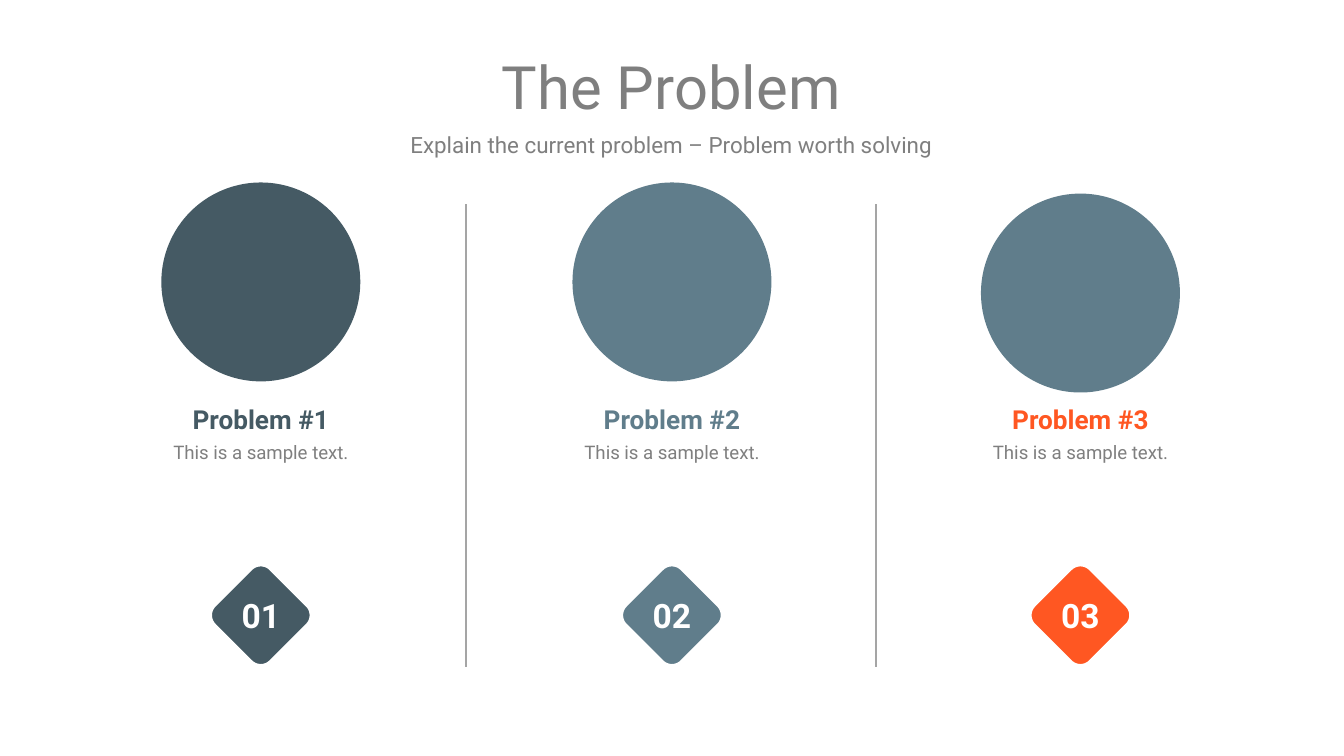
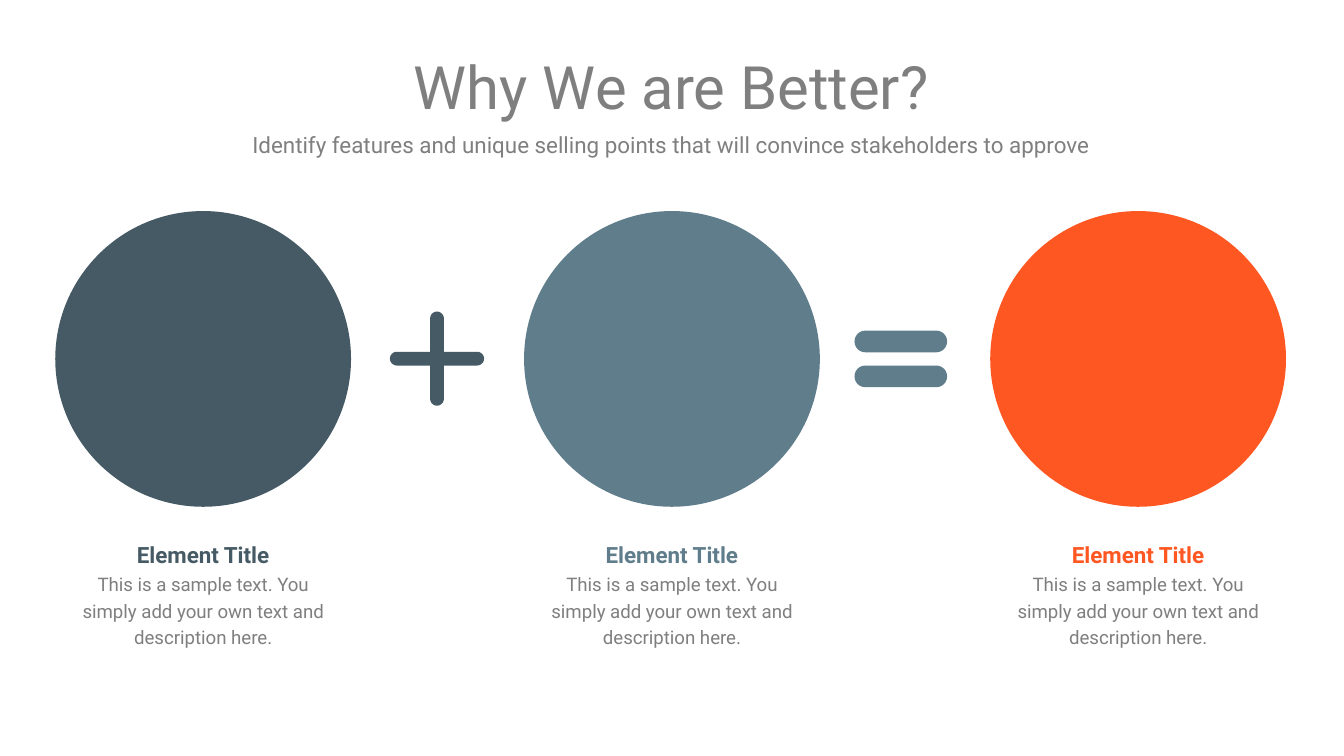
from math import cos, radians, sin

from lxml.etree import SubElement
from pptx import Presentation
from pptx.dml.color import RGBColor
from pptx.enum.shapes import MSO_CONNECTOR, MSO_SHAPE
from pptx.enum.text import MSO_ANCHOR, PP_ALIGN
from pptx.oxml.ns import qn
from pptx.util import Cm, Pt

FONT = "Roboto"
DARK, SLATE, ORANGE = "455A64", "607D8B", "FF5722"
GRAY, RULE, WHITE = "7F7F7F", "A5A5A5", "FFFFFF"
ACCENTS = [DARK, SLATE, ORANGE]


def paint(shape, color, outline=None):
    shape.shadow.inherit = False
    shape.fill.solid()
    shape.fill.fore_color.rgb = RGBColor.from_string(color)
    if outline:
        shape.line.color.rgb = RGBColor.from_string(outline)
        shape.line.width = Pt(1)
    else:
        shape.line.fill.background()


def write(frame, lines, spacing=1.0, anchor=MSO_ANCHOR.MIDDLE):
    """Fill a text frame with centred lines of (text, size, color, bold)."""
    frame.word_wrap = True
    frame.vertical_anchor = anchor
    frame.margin_left = frame.margin_right = 0
    frame.margin_top = frame.margin_bottom = 0
    for index, (text, size, color, bold) in enumerate(lines):
        paragraph = frame.add_paragraph() if index else frame.paragraphs[0]
        paragraph.alignment = PP_ALIGN.CENTER
        paragraph.line_spacing = spacing
        run = paragraph.add_run()
        run.text = text
        run.font.name = FONT
        run.font.size = Pt(size)
        run.font.bold = bold
        run.font.color.rgb = RGBColor.from_string(color)


prs = Presentation()
prs.slide_width, prs.slide_height = Cm(25.4), Cm(14.29)

# Headings shared by both slides
headings = [
    ("The Problem", "Explain the current problem – Problem worth solving"),
    ("Why We are Better?",
     "Identify features and unique selling points that will convince stakeholders to approve"),
]
for title, subtitle in headings:
    slide = prs.slides.add_slide(prs.slide_layouts[6])
    title_box = slide.shapes.add_textbox(Cm(1.07), Cm(0.94), Cm(23.24), Cm(1.37))
    write(title_box.text_frame, [(title, 32, GRAY, False)])
    subtitle_box = slide.shapes.add_textbox(Cm(1.07), Cm(2.46), Cm(23.24), Cm(0.48))
    write(subtitle_box.text_frame, [(subtitle, 12, GRAY, False)], 1.15)
problem, better = [slide.shapes for slide in prs.slides]

# Slide 1: three problems with numbered diamonds
for divider_x in (8.81, 16.56):
    divider = problem.add_connector(
        MSO_CONNECTOR.STRAIGHT, Cm(divider_x), Cm(3.86), Cm(divider_x), Cm(12.6))
    divider.line.color.rgb = RGBColor.from_string(RULE)
    divider.line.width = Pt(1)
    SubElement(divider.line._get_or_add_ln().getparent(), qn("a:effectLst"))

disc = 3.76
diamond_y, tip_center, tip_radius = 11.63, 0.69, 0.25
columns = [(4.93, 3.45, DARK), (12.7, 3.45, SLATE), (20.42, 3.66, SLATE)]
for number, ((center, disc_top, disc_color), accent) in enumerate(zip(columns, ACCENTS), 1):
    circle = problem.add_shape(
        MSO_SHAPE.OVAL, Cm(center - disc / 2), Cm(disc_top), Cm(disc), Cm(disc))
    paint(circle, disc_color)

    caption = problem.add_textbox(Cm(center - 2.39), Cm(7.44), Cm(4.78), Cm(3))
    write(caption.text_frame,
          [(f"Problem #{number}", 14, accent, True),
           ("This is a sample text.", 10, GRAY, False)],
          1.3, MSO_ANCHOR.TOP)

    corners = []
    for side in range(0, 360, 90):
        for turn in range(-45, 46, 9):
            x = tip_center * cos(radians(side)) + tip_radius * cos(radians(side + turn))
            y = tip_center * sin(radians(side)) + tip_radius * sin(radians(side + turn))
            corners.append((Cm(center + x), Cm(diamond_y + y)))
    outline = problem.build_freeform(*corners[0])
    outline.add_line_segments(corners[1:])
    diamond = outline.convert_to_shape()
    paint(diamond, accent, WHITE)
    write(diamond.text_frame, [(f"{number:02}", 18, WHITE, True)])

# Slide 2: element + element = element
disc = 5.59
for center, accent in zip((3.84, 12.7, 21.51), ACCENTS):
    circle = better.add_shape(
        MSO_SHAPE.OVAL, Cm(center - disc / 2), Cm(3.99), Cm(disc), Cm(disc))
    paint(circle, accent)
    caption = better.add_textbox(Cm(center - 2.54), Cm(10.13), Cm(5.08), Cm(2.11))
    write(caption.text_frame,
          [("Element Title", 12, accent, True),
           ("This is a sample text. You simply add your own text and description here.",
            10, GRAY, False)],
          1.2, MSO_ANCHOR.TOP)

plus_x, plus_y, arm, arm_radius = 8.26, 6.78, 0.89, 0.13
plus_points = []
for side in range(0, 360, 90):
    along, across = cos(radians(side)), sin(radians(side))
    arm_points = [(arm - arm_radius + arm_radius * cos(radians(turn)),
                   arm_radius * sin(radians(turn))) for turn in range(-90, 91, 15)]
    arm_points.append((arm_radius, arm_radius))
    for u, v in arm_points:
        plus_points.append((Cm(plus_x + u * along - v * across),
                            Cm(plus_y + u * across + v * along)))
outline = better.build_freeform(*plus_points[0])
outline.add_line_segments(plus_points[1:])
paint(outline.convert_to_shape(), DARK)

for bar_top in (6.25, 6.91):
    equals_bar = better.add_shape(
        MSO_SHAPE.ROUNDED_RECTANGLE, Cm(16.15), Cm(bar_top), Cm(1.75), Cm(0.41))
    equals_bar.adjustments[0] = 0.5
    paint(equals_bar, SLATE)

prs.save("out.pptx")
